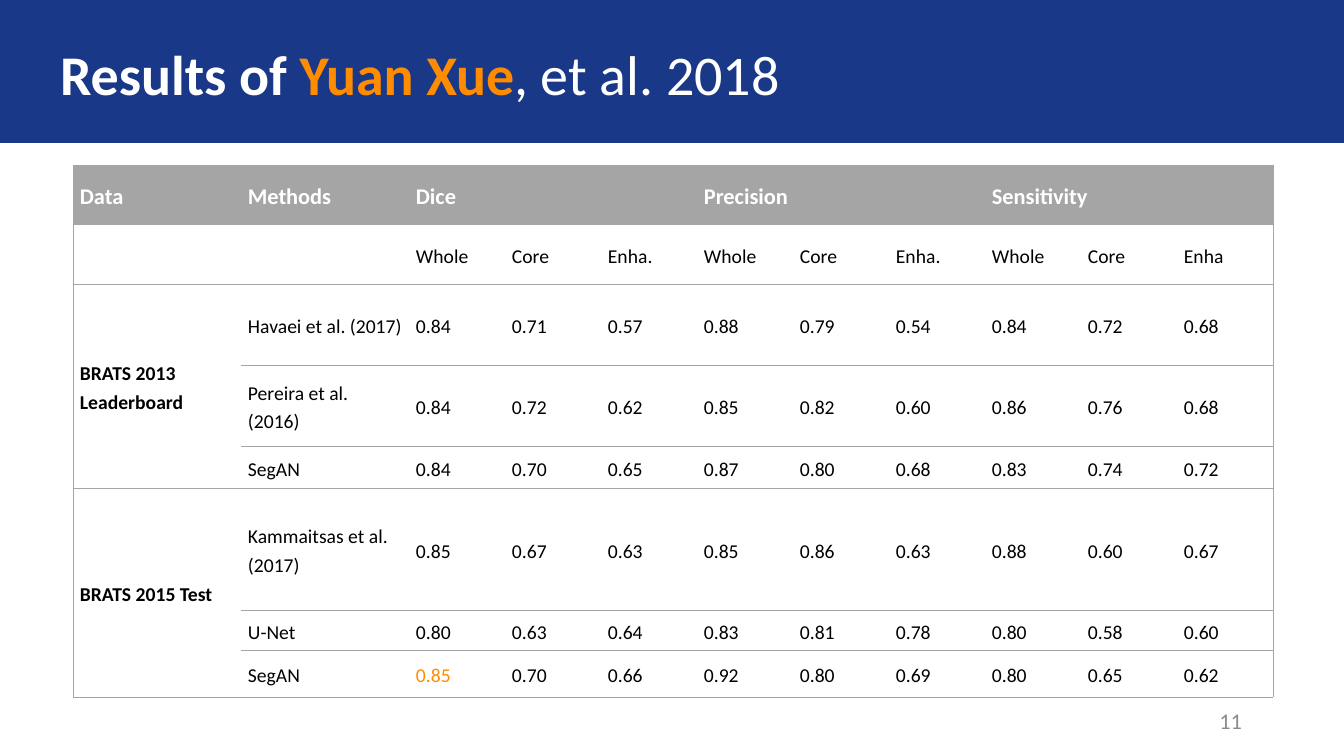
from lxml import etree
from pptx import Presentation, util as u
from pptx.dml.color import RGBColor
from pptx.enum import shapes, text
from pptx.oxml.ns import qn

SCALE = 914400 / 100.8
WHITE, BLACK, GREY, BLUE, ORANGE = "FFFFFF", "000000", "A5A5A5", "193888", "FF8C00"

COLS = [168, 168] + [96] * 9
ROWS = [59, 60, 81, 81, 42, 122, 40, 47]
MERGES = [(0, c, 0, c + 2) for c in (2, 5, 8)] + [(r, 0, r + 2, 0) for r in (2, 5)]
HEADS = {0: "Data", 1: "Methods", 2: "Dice", 5: "Precision", 8: "Sensitivity"}
PARTS = "Whole Core Enha. Whole Core Enha. Whole Core Enha".split()
GROUPS = {2: "BRATS 2013 Leaderboard", 5: "BRATS 2015 Test"}
SCORES = [
    ("Havaei et al. (2017)", "0.84 0.71 0.57 0.88 0.79 0.54 0.84 0.72 0.68"),
    ("Pereira et al. (2016)", "0.84 0.72 0.62 0.85 0.82 0.60 0.86 0.76 0.68"),
    ("SegAN", "0.84 0.70 0.65 0.87 0.80 0.68 0.83 0.74 0.72"),
    ("Kammaitsas et al. (2017)", "0.85 0.67 0.63 0.85 0.86 0.63 0.88 0.60 0.67"),
    ("U-Net", "0.80 0.63 0.64 0.83 0.81 0.78 0.80 0.58 0.60"),
    ("SegAN", "0.85 0.70 0.66 0.92 0.80 0.69 0.80 0.65 0.62"),
]
BEST = (7, 2)


def px(n):
    return u.Emu(round(n * SCALE))


def rgb(code):
    return RGBColor.from_string(code)


class Deck:
    def __init__(self, font):
        self.font = font
        self.prs = Presentation()
        self.prs.slide_width, self.prs.slide_height = px(1344), px(756)
        self.slide = self.prs.slides.add_slide(self.prs.slide_layouts[6])

    def style(self, font, size, color, bold=False):
        font.name, font.size, font.bold = self.font, u.Pt(size), bold
        font.color.rgb = rgb(color)

    def bar(self, box, color):
        bar = self.slide.shapes.add_shape(
            shapes.MSO_SHAPE.RECTANGLE, *map(px, box))
        bar.shadow.inherit = False
        bar.fill.solid()
        bar.fill.fore_color.rgb = bar.line.color.rgb = rgb(color)
        bar.line.width = u.Pt(1)

    def label(self, box, runs, size, left=10, align=text.PP_ALIGN.LEFT):
        """Add one line of text; runs holds (words, colour, bold) triples."""
        frame = self.slide.shapes.add_textbox(*map(px, box)).text_frame
        frame.word_wrap = True
        frame.vertical_anchor = text.MSO_ANCHOR.MIDDLE
        frame.margin_left = px(left)
        para = frame.paragraphs[0]
        para.alignment = align
        for words, color, bold in runs:
            run = para.add_run()
            run.text = words
            self.style(run.font, size, color, bold)

    def edges(self, cell, sides, color):
        """Draw thin borders on the named sides (of LRTB) and none elsewhere."""
        props = cell._tc.get_or_add_tcPr()
        for side in "LRTB":
            line = etree.SubElement(props, qn("a:ln" + side), w="6350")
            if side in sides:
                fill = etree.SubElement(line, qn("a:solidFill"))
                etree.SubElement(fill, qn("a:srgbClr"), val=color)
            else:
                etree.SubElement(line, qn("a:noFill"))

    def cell(self, cell, words, size, color, bold, fill):
        cell.margin_left = cell.margin_right = px(7)
        cell.margin_top = cell.margin_bottom = 0
        cell.vertical_anchor = text.MSO_ANCHOR.MIDDLE
        cell.fill.solid()
        cell.fill.fore_color.rgb = rgb(fill)
        para = cell.text_frame.paragraphs[0]
        para.line_spacing, para.space_before = 1.2, u.Pt(6)
        self.style(para.font, size, color, bold)
        if words:
            para.text = words

    def table(self, left, top, cols, rows, merges):
        box = map(px, (left, top, sum(cols), sum(rows)))
        grid = self.slide.shapes.add_table(len(rows), len(cols), *box).table
        grid.first_row = grid.horz_banding = False
        for col, width in zip(grid.columns, cols):
            col.width = px(width)
        for row, height in zip(grid.rows, rows):
            row.height = px(height)
        for r1, c1, r2, c2 in merges:
            grid.cell(r1, c1).merge(grid.cell(r2, c2))
        return grid


def words_at(r, c):
    if r == 0:
        return HEADS.get(c, "")
    if r == 1:
        return PARTS[c - 2] if c > 1 else ""
    if c == 0:
        return GROUPS.get(r, "")
    name, nums = SCORES[r - 2]
    return name if c == 1 else nums.split()[c - 2]


def main():
    deck = Deck("Calibri")
    deck.bar((0, 0, 1344, 142), BLUE)
    deck.label((0, 0, 1344, 146), [("Results of ", WHITE, True),
               ("Yuan Xue", ORANGE, True), (", et al. 2018", WHITE, False)], 40, 60)
    deck.label((950, 701, 302, 40), [("11", "8C8C8C", False)], 16,
               align=text.PP_ALIGN.RIGHT)

    grid = deck.table(73, 165, COLS, ROWS, MERGES)
    for r in range(len(ROWS)):
        for c in range(len(COLS)):
            cell = grid.cell(r, c)
            sides = "" if c == 0 and cell.is_spanned else "TB"
            if c == 0:
                sides += "L"
            if c + cell.span_width == len(COLS):
                sides += "R"
            deck.edges(cell, sides, GREY)
            head = r == 0
            color = WHITE if head else ORANGE if (r, c) == BEST else BLACK
            deck.cell(cell, words_at(r, c), 16 if head else 14, color,
                      head or c == 0, GREY if head else WHITE)
    deck.prs.save("out.pptx")


if __name__ == "__main__":
    main()
